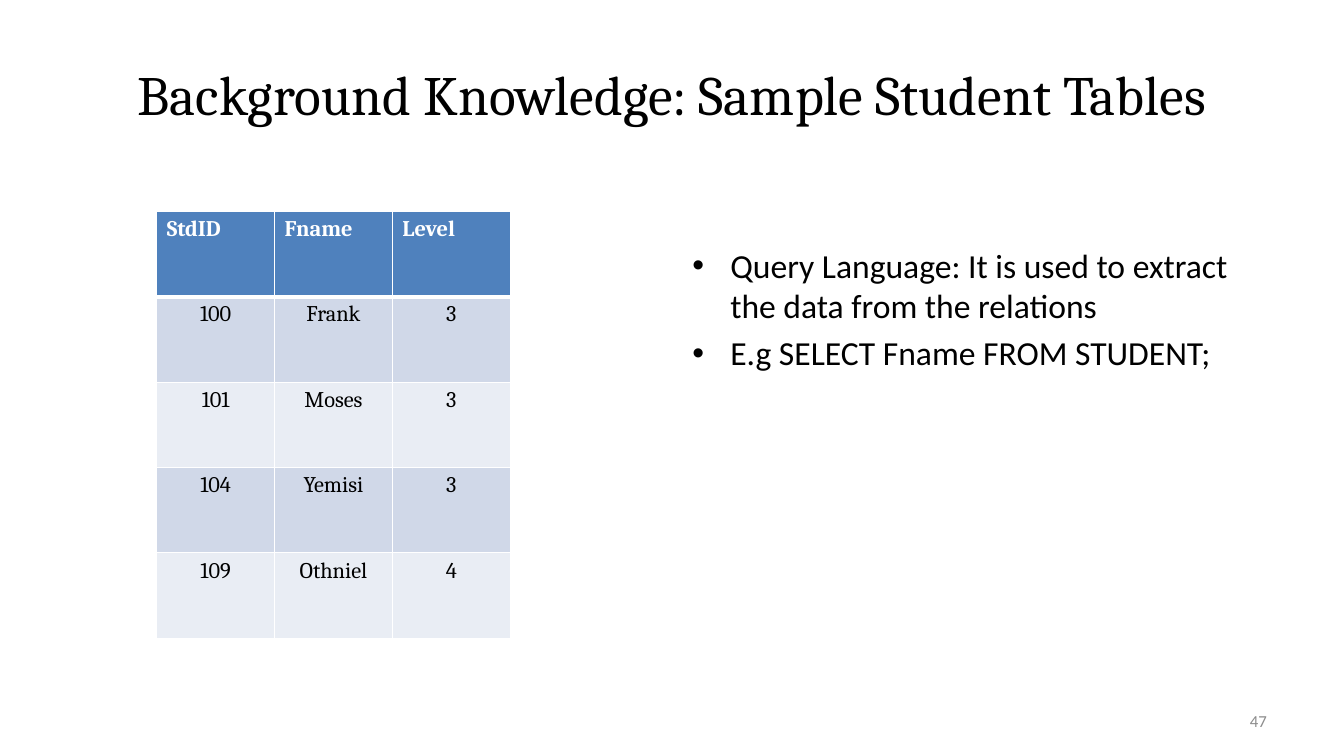
from dataclasses import dataclass

from lxml.etree import SubElement
from pptx import Presentation
from pptx.dml.color import RGBColor
from pptx.enum.text import MSO_ANCHOR, PP_ALIGN
from pptx.oxml import parse_xml
from pptx.oxml.ns import nsdecls, qn
from pptx.util import Pt


@dataclass(frozen=True)
class Theme:
    serif: str = "Cambria"
    sans: str = "Calibri"
    ink: str = "000000"
    paper: str = "FFFFFF"
    muted: str = "8C8C8C"
    header: str = "4F81BD"
    bands: tuple = ("D0D8E8", "E9EDF4")
    title_size: float = 39.6
    body_size: float = 24
    table_size: float = 16
    number_size: float = 12


class SlideBuilder:
    def __init__(self, slide, theme):
        self.slide = slide
        self.theme = theme

    def add_span(self, para, text, font, size, color, bold=False):
        span = para.add_run()
        span.text = text
        span.font.name = font
        span.font.size = Pt(size)
        span.font.bold = bold
        span.font.color.rgb = RGBColor.from_string(color)

    def add_text(self, area, lines, font, size, color,
                 align=PP_ALIGN.LEFT, anchor=MSO_ANCHOR.MIDDLE, bulleted=False):
        box = self.slide.shapes.add_textbox(*map(Pt, area))
        frame = box.text_frame
        frame.word_wrap = True
        frame.vertical_anchor = anchor
        for index, line in enumerate(lines):
            para = frame.add_paragraph() if index else frame.paragraphs[0]
            para.alignment = align
            if bulleted:
                self.add_bullet(para, size)
            self.add_span(para, line, font, size, color)

    def add_bullet(self, para, size):
        para.space_before = Pt(size * 0.2)
        properties = para._p.get_or_add_pPr()
        properties.set("marL", str(Pt(27)))
        properties.set("indent", str(-Pt(27)))
        SubElement(properties, qn("a:buFont"), typeface="Arial")
        SubElement(properties, qn("a:buChar"), char="•")

    def add_table(self, area, rows):
        theme = self.theme
        frame = self.slide.shapes.add_table(len(rows), len(rows[0]), *map(Pt, area))
        table = frame.table
        for row_index, row in enumerate(rows):
            is_header = row_index == 0
            fill = theme.header if is_header else theme.bands[(row_index - 1) % 2]
            for column_index, text in enumerate(row):
                cell = table.cell(row_index, column_index)
                cell.fill.solid()
                cell.fill.fore_color.rgb = RGBColor.from_string(fill)
                self.add_borders(cell, top=3 if row_index == 1 else 1,
                                 bottom=3 if is_header else 1)
                para = cell.text_frame.paragraphs[0]
                para.alignment = PP_ALIGN.LEFT if is_header else PP_ALIGN.CENTER
                color = theme.paper if is_header else theme.ink
                self.add_span(para, text, theme.serif, theme.table_size, color, is_header)

    def add_borders(self, cell, top, bottom):
        properties = cell._tc.get_or_add_tcPr()
        widths = {"lnL": 1, "lnR": 1, "lnT": top, "lnB": bottom}
        for position, (side, width) in enumerate(widths.items()):
            border = parse_xml(
                f'<a:{side} {nsdecls("a")} w="{Pt(width)}"><a:solidFill>'
                f'<a:srgbClr val="{self.theme.paper}"/></a:solidFill></a:{side}>'
            )
            properties.insert(position, border)


def main():
    deck = Presentation()
    deck.slide_width = Pt(960)
    deck.slide_height = Pt(540)
    page = deck.slides.add_slide(deck.slide_layouts[6])
    theme = Theme()
    builder = SlideBuilder(page, theme)

    builder.add_text((48, 21.6, 864, 90), ["Background Knowledge: Sample Student Tables"],
                     theme.serif, theme.title_size, theme.ink, PP_ALIGN.CENTER)
    students = [
        ("StdID", "Fname", "Level"),
        ("100", "Frank", "3"),
        ("101", "Moses", "3"),
        ("104", "Yemisi", "3"),
        ("109", "Othniel", "4"),
    ]
    builder.add_table((111.9, 151, 252.6, 305), students)
    builder.add_text((688, 500.5, 224, 28.75), ["47"],
                     theme.sans, theme.number_size, theme.muted, PP_ALIGN.RIGHT)
    query_notes = [
        "Query Language: It is used to extract the data from the relations",
        "E.g SELECT Fname FROM STUDENT;",
    ]
    builder.add_text((487.6, 171.4, 424, 311), query_notes, theme.sans, theme.body_size,
                     theme.ink, anchor=MSO_ANCHOR.TOP, bulleted=True)
    deck.save("out.pptx")


if __name__ == "__main__":
    main()
